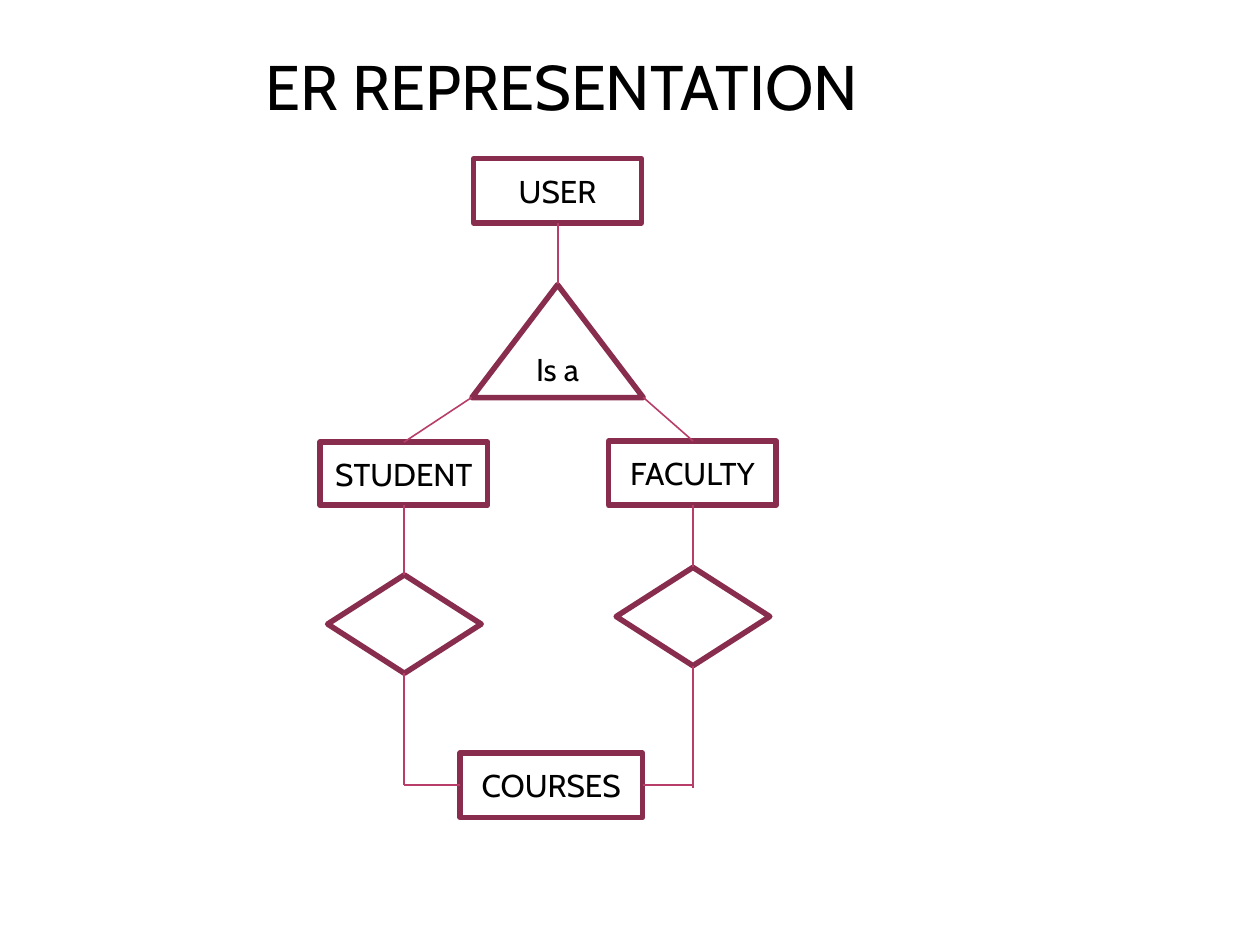
from lxml.etree import SubElement
from pptx import Presentation
from pptx.dml.color import RGBColor
from pptx.enum.shapes import MSO_CONNECTOR, MSO_SHAPE
from pptx.enum.text import MSO_ANCHOR, PP_ALIGN
from pptx.oxml.ns import qn
from pptx.util import Pt


def paint(fmt, color):
    fmt.solid()
    fmt.fore_color.rgb = RGBColor.from_string(color)


def write(shape, text, size=18, color="000000", anchor=MSO_ANCHOR.MIDDLE):
    frame = shape.text_frame
    frame.word_wrap = True
    frame.vertical_anchor = anchor
    para = frame.paragraphs[0]
    para.alignment = PP_ALIGN.CENTER
    run = para.add_run()
    run.text = text
    run.font.name = "Cabin"
    run.font.size = Pt(size)
    paint(run.font.fill, color)


deck = Presentation()
deck.slide_width, deck.slide_height = Pt(720), Pt(540)
slide = deck.slides.add_slide(deck.slide_layouts[5])
paint(slide.background.fill, "FFFFFF")

title = slide.shapes.title
title.left, title.top, title.width, title.height = Pt(0), Pt(23.8), Pt(642.2), Pt(51)
write(title, "ER REPRESENTATION", size=36, anchor=MSO_ANCHOR.TOP)

rect, gem = MSO_SHAPE.RECTANGLE, MSO_SHAPE.FLOWCHART_DECISION
nodes = [
    (rect, "STUDENT", 182.9, 252.7, 95.8, 36),
    (rect, "FACULTY", 347.8, 252, 95.8, 36.7),
    (rect, "COURSES", 262.8, 430.4, 104.4, 36.7),
    (rect, "USER", 270.7, 90.7, 95.8, 36.7),
    (MSO_SHAPE.ISOSCELES_TRIANGLE, "Is a", 269.6, 162.7, 98, 64.5),
    (gem, "", 187.2, 328.5, 87.8, 56.2),
    (gem, "", 352.1, 324.2, 87.8, 56.2),
]
for kind, label, *place in nodes:
    node = slide.shapes.add_shape(kind, *[Pt(n) for n in place])
    node.shadow.inherit = False
    paint(node.fill, "FFFFFF")
    paint(node.line.fill, "882D4D")
    node.line.width = Pt(3.15)
    SubElement(node.line._ln, qn("a:round"))
    if label:
        write(node, label)

mid, left, right, base = 318.7, 230.8, 396, 448.6
links = [
    (mid, 127.4, mid, 162.3),
    (left, 288.7, left, 328.5),
    (left, 384.7, left, base),
    (left, base, 262.8, base),
    (right, 380.5, right, 450),
    (367.2, base, right, base),
    (right, 288.7, right, 324.2),
    (367.6, 227.1, right, 252),
    (269.6, 227.1, left, 252.7),
]
for ends in links:
    link = slide.shapes.add_connector(MSO_CONNECTOR.STRAIGHT, *[Pt(n) for n in ends])
    paint(link.line.fill, "B83D68")
    link.line.width = Pt(0.9)
    SubElement(link._element.spPr, qn("a:effectLst"))

deck.save("out.pptx")
